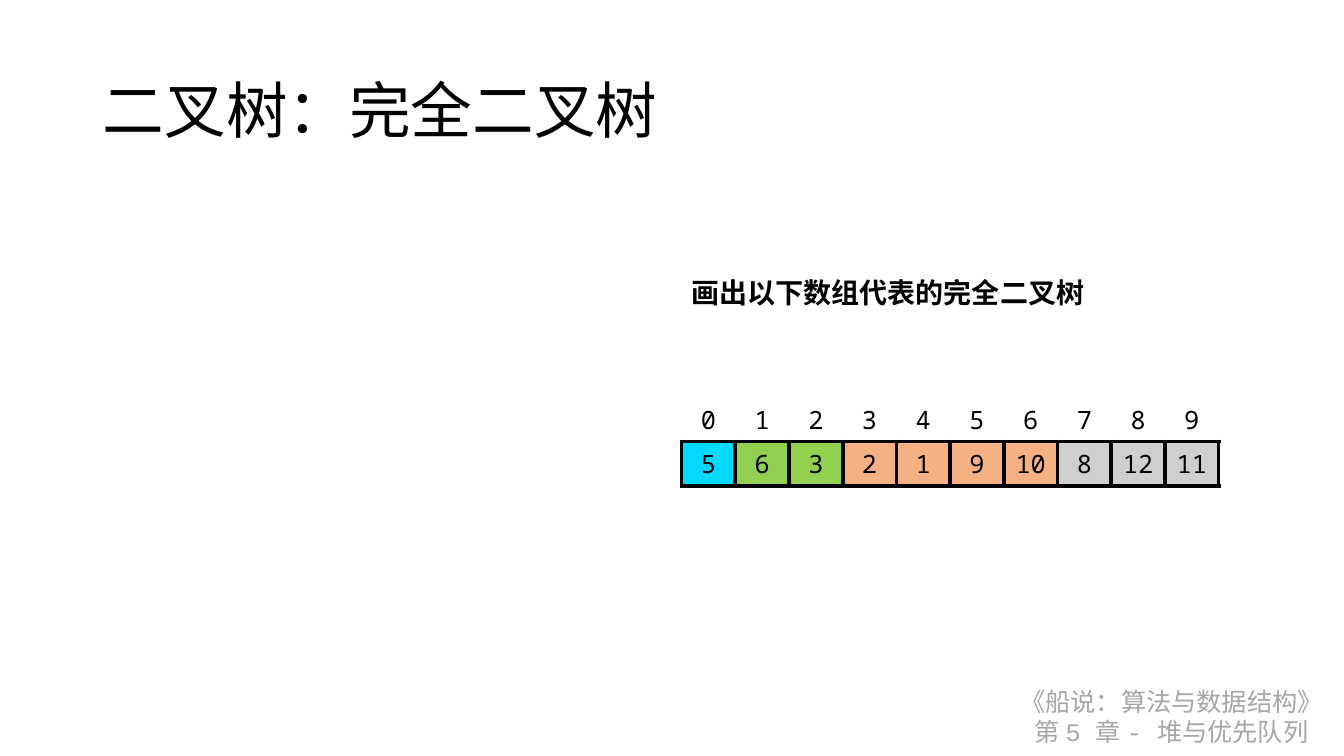
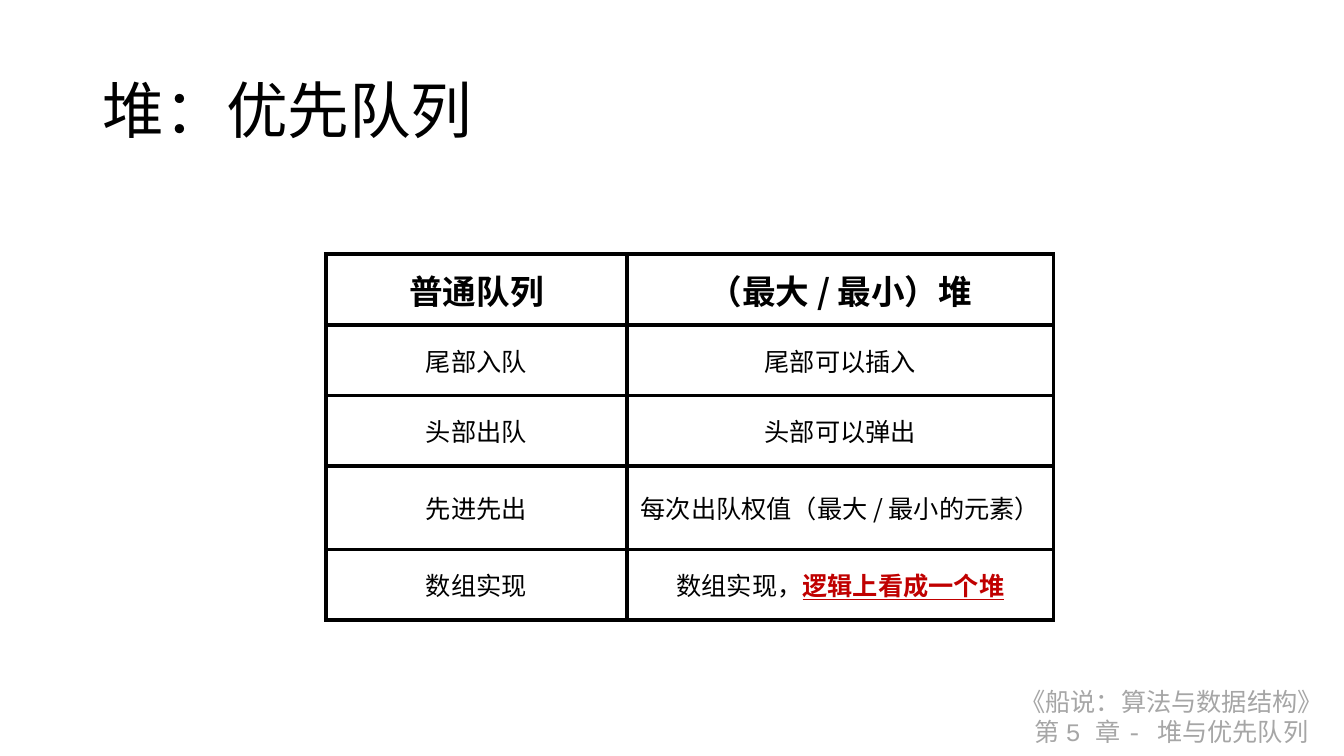
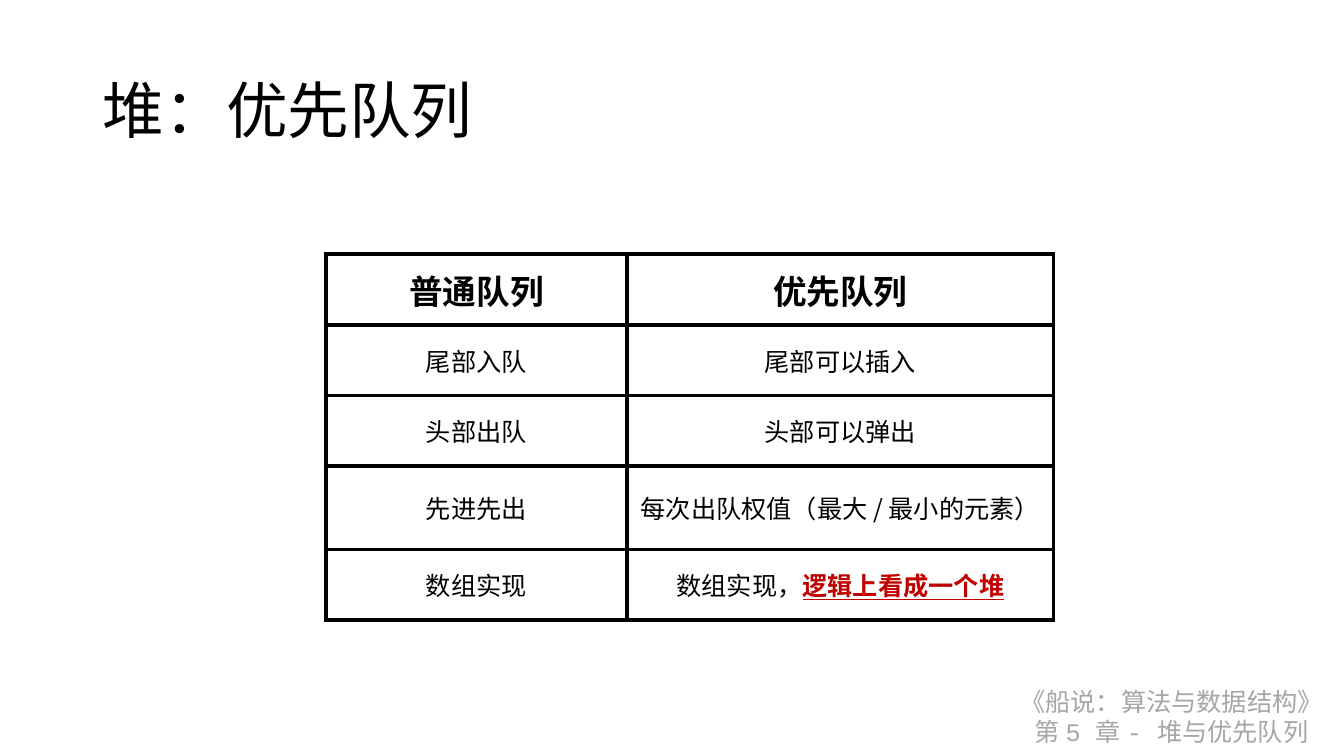
import pptx
import pptx.util
import pptx.dml.color
import pptx.enum.text
import pptx.oxml.ns
from lxml import etree

Inches, Pt = pptx.util.Inches, pptx.util.Pt
ALIGN = pptx.enum.text.PP_ALIGN
ANCHOR = pptx.enum.text.MSO_ANCHOR
qn = pptx.oxml.ns.qn

# Shared look
HUE = {"ink": "000000", "foot": "A6A6A6", "red": "C00000", "root": "03D9FF",
       "mid": "92D050", "low": "F4B183", "leaf": "D0CECE"}
SANS, MONO, CODE = "Noto Sans CJK SC", "Noto Sans Mono", "Courier New"
EDGE = 3
SIDES = "LRTB"

# Content
FOOT = ["《船说：算法与数据结构》", "第 5 章 - 堆与优先队列"]
TREE = "二叉树：完全二叉树"
TASK = "画出以下数组代表的完全二叉树"
LEVELS = [("root", [5]), ("mid", [6, 3]), ("low", [2, 1, 9, 10]),
          ("leaf", [8, 12, 11])]
HEAP = "堆：优先队列"
PLAIN = "普通队列"
HEADS = ["（最大 / 最小）堆", "优先队列"]
MARK = {"bold": True, "line": True, "hue": "red"}
PAIRS = [
    ("尾部入队", "尾部可以插入"),
    ("头部出队", "头部可以弹出"),
    ("先进先出", "每次出队权值（最大 / 最小的元素）"),
    ("数组实现", [("数组实现，", {}), ("逻辑上看成一个堆", MARK)]),
]


def write(para, text, size=18, font=SANS, hue="ink", bold=False, line=False,
          align=ALIGN.CENTER):
    """Add one formatted run to a paragraph."""
    para.alignment = align
    run = para.add_run()
    run.text = text
    run.font.size, run.font.name = Pt(size), font
    run.font.bold, run.font.underline = bold, line
    run.font.color.rgb = pptx.dml.color.RGBColor.from_string(HUE[hue])
    east = etree.SubElement(run.font._element, qn("a:ea"))
    east.set("typeface", SANS)


def add_box(slide, left, top, width, height):
    box = slide.shapes.add_textbox(*map(Inches, (left, top, width, height)))
    box.text_frame.word_wrap = False
    return box


def add_slide(deck, title):
    slide = deck.slides.add_slide(deck.slide_layouts[5])
    head = slide.shapes.title
    head.left, head.top = Inches(0.92), Inches(0.4)
    head.width, head.height = Inches(11.5), Inches(1.45)
    head.text_frame.vertical_anchor = ANCHOR.MIDDLE
    para = head.text_frame.paragraphs[0]
    para.line_spacing = 0.9
    write(para, title, size=44, align=ALIGN.LEFT)
    return slide


def add_foot(deck, slide):
    """Place the footer on the layout, so that every slide shows it."""
    box = add_box(slide, 9.97, 6.76, 3.3, 0.71)
    frame = box.text_frame
    for para, text in zip((frame.paragraphs[0], frame.add_paragraph()), FOOT):
        write(para, text, font=CODE, hue="foot")
    deck.slide_layouts[5].shapes.element.append(box.element)


def add_grid(slide, left, top, widths, height, count):
    shape = slide.shapes.add_table(count, len(widths), Inches(left), Inches(top),
                                   Inches(sum(widths)), Inches(height))
    grid = shape.table
    grid.first_row = grid.horz_banding = False
    for col, width in zip(grid.columns, widths):
        col.width = Inches(width)
    for row in grid.rows:
        row.height = Inches(height / count)
    return grid


def style(cell, fill=None, sides=SIDES):
    """Set the fill and the borders of a cell."""
    if fill:
        cell.fill.solid()
        cell.fill.fore_color.rgb = pptx.dml.color.RGBColor.from_string(HUE[fill])
    else:
        cell.fill.background()
    props = cell._tc.get_or_add_tcPr()
    for spot, side in enumerate(SIDES):
        edge = etree.Element(qn("a:ln" + side))
        if side in sides:
            edge.set("w", str(Pt(EDGE)))
            paint = etree.SubElement(edge, qn("a:solidFill"))
            etree.SubElement(paint, qn("a:srgbClr")).set("val", HUE["ink"])
        else:
            etree.SubElement(edge, qn("a:noFill"))
        props.insert(spot, edge)


def draw_tree(slide):
    # Array with its indices, coloured by tree level
    items = [(hue, num) for hue, nums in LEVELS for num in nums]
    grid = add_grid(slide, 6.76, 3.94, [5.33 / len(items)] * len(items), 0.81, 2)
    for col, (hue, num) in enumerate(items):
        for row, (text, fill, sides) in enumerate([(col, None, "B"),
                                                   (num, hue, SIDES)]):
            cell = grid.cell(row, col)
            style(cell, fill, sides)
            write(cell.text_frame.paragraphs[0], str(text), font=MONO)
    box = add_box(slide, 6.76, 2.68, 4.13, 0.44)
    write(box.text_frame.paragraphs[0], TASK, size=20, bold=True,
          align=ALIGN.LEFT)


def draw_pairs(slide, head):
    # Comparison of the two queues
    rows = [(PLAIN, head)] + PAIRS
    grid = add_grid(slide, 3.23, 2.52, [2.99, 4.23], 3.51, len(rows))
    for row, pair in enumerate(rows):
        look = {"size": 24, "bold": True} if row == 0 else {}
        for col, text in enumerate(pair):
            cell = grid.cell(row, col)
            style(cell)
            cell.vertical_anchor = ANCHOR.MIDDLE
            runs = [(text, look)] if isinstance(text, str) else text
            for part, form in runs:
                write(cell.text_frame.paragraphs[0], part, **form)


def main():
    deck = pptx.Presentation()
    deck.slide_width, deck.slide_height = Inches(13.33), Inches(7.5)
    first = add_slide(deck, TREE)
    add_foot(deck, first)
    draw_tree(first)
    for head in HEADS:
        draw_pairs(add_slide(deck, HEAP), head)
    deck.save("out.pptx")


if __name__ == "__main__":
    main()
